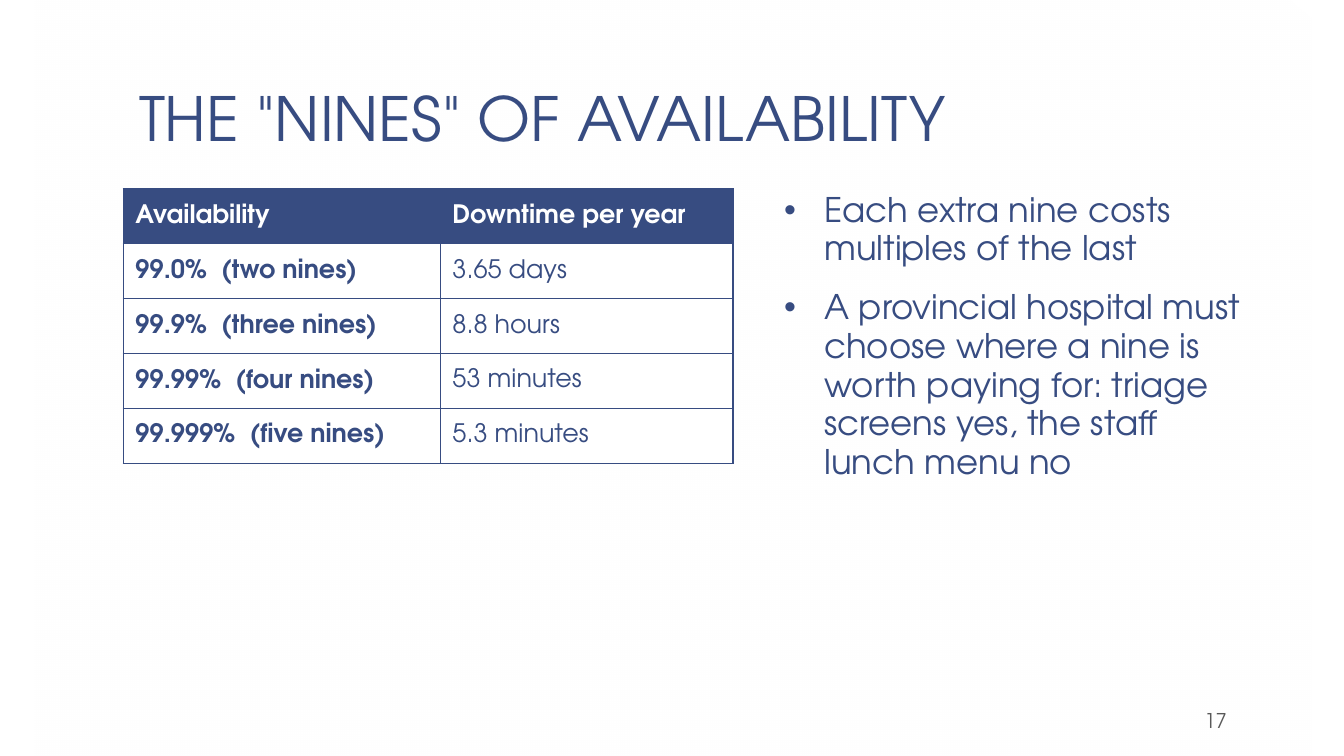
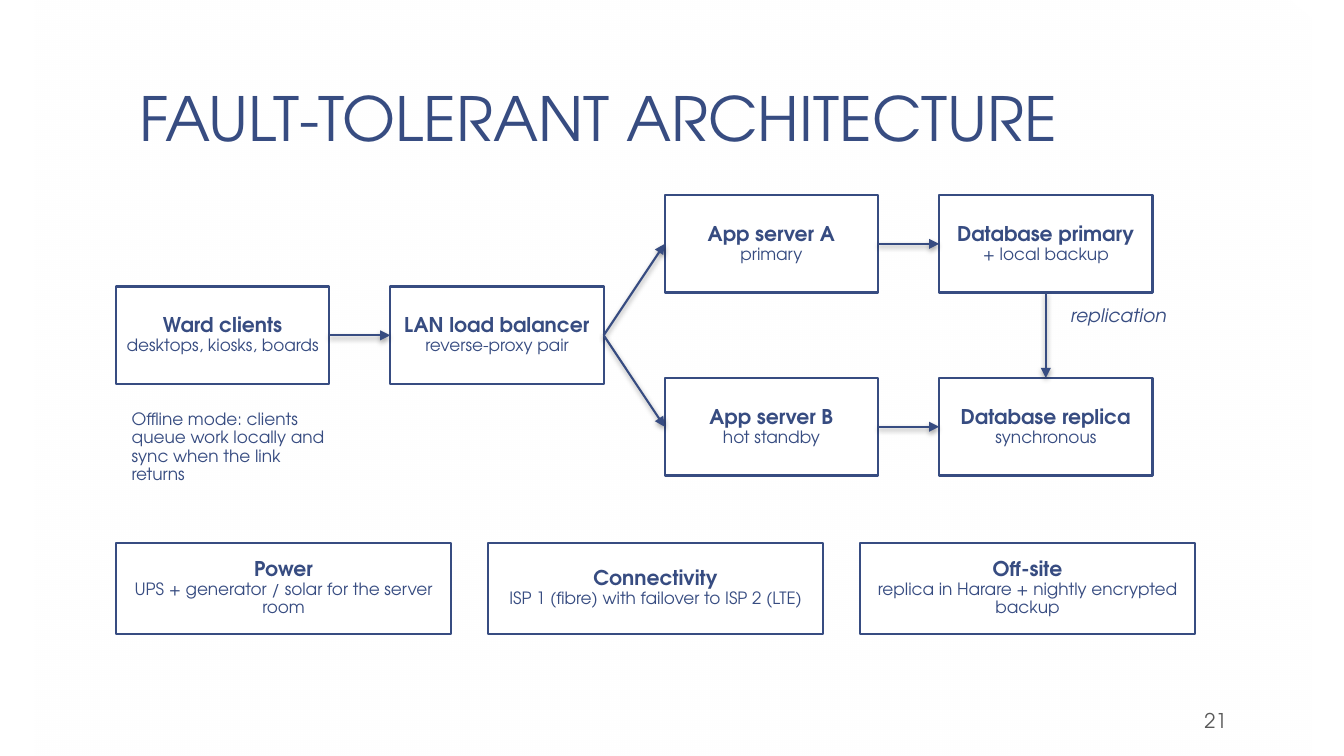
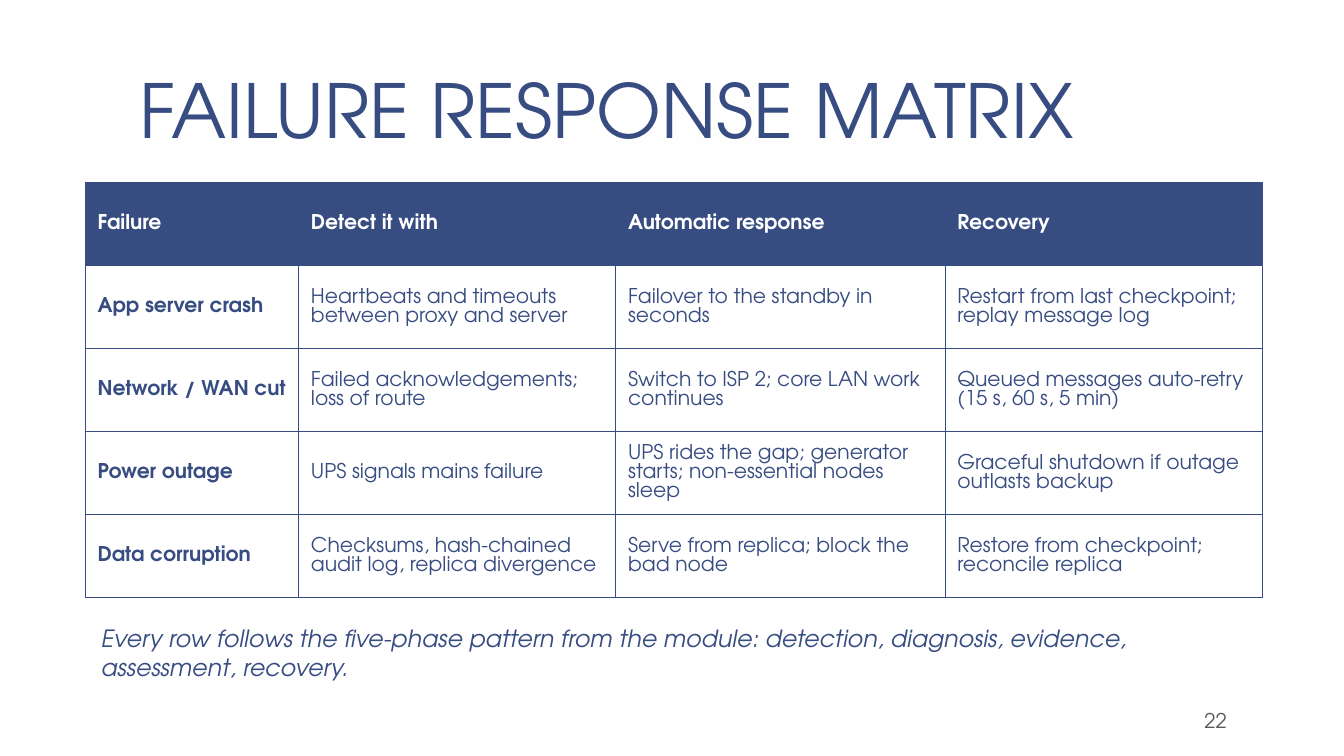
from lxml.etree import SubElement
from pptx import Presentation
from pptx.dml.color import RGBColor
from pptx.enum.shapes import MSO_CONNECTOR as Connector, MSO_SHAPE as Shape
from pptx.enum.text import MSO_ANCHOR as Anchor, MSO_AUTO_SIZE as AutoSize, PP_ALIGN as Align
from pptx.oxml.ns import qn
from pptx.util import Inches, Pt

NAVY = RGBColor(0x37, 0x4C, 0x81)
WHITE = RGBColor(0xFF, 0xFF, 0xFF)
GRAY = RGBColor(0x59, 0x59, 0x59)
FONT = "TeX Gyre Adventor"
TOP, LEFT, BOTTOM, RIGHT = range(4)


class Lecture:
    """Holds the deck, its style and the current page."""

    def __init__(self):
        self.deck = Presentation()
        self.deck.slide_width, self.deck.slide_height = Inches(11.02), Inches(6.2)
        self.page = None

    def style(self, para, size, color=NAVY, bold=False, italic=False, spacing=None, align=Align.LEFT):
        para.alignment = align
        if spacing:
            para.line_spacing = spacing
        for span in para.runs:
            font = span.font
            font.name, font.size, font.bold, font.italic = FONT, Pt(size), bold, italic
            font.color.rgb = color

    def frame(self, box, across=0.13, down=0.07, anchor=Anchor.TOP):
        frame = box.text_frame
        frame.word_wrap, frame.auto_size = True, AutoSize.NONE
        frame.vertical_anchor = anchor
        frame.margin_left = frame.margin_right = Inches(across)
        frame.margin_top = frame.margin_bottom = Inches(down)
        return frame

    def backdrop(self):
        panel = self.page.shapes.add_shape(Shape.RECTANGLE, *map(Inches, (0.28, 0, 10.47, 6.2)))
        panel.shadow.inherit = False
        panel.line.fill.background()
        panel.fill.gradient()
        panel.fill.gradient_angle = 230
        for stop, opacity in zip(panel.fill.gradient_stops, (0, 55)):
            stop.color.rgb = WHITE
            tint = stop._gs.find(qn("a:srgbClr"))
            SubElement(tint, qn("a:alpha")).set("val", str(opacity * 1000))
        self.page.shapes._spTree.insert(2, panel._element)

    def new_page(self, title, number, size=36):
        self.page = self.deck.slides.add_slide(self.deck.slide_layouts[5])
        self.backdrop()
        box = self.page.shapes.title
        box.left, box.top, box.width, box.height = map(Inches, (1.01, 0.07, 9.19, 1.26))
        frame = self.frame(box, anchor=Anchor.BOTTOM)
        frame.text = title
        self.style(frame.paragraphs[0], size, spacing=0.85)
        self.text((9.19, 5.79, 1, 0.29), number, 12, anchor=Anchor.BOTTOM, color=GRAY, align=Align.RIGHT)

    def text(self, place, words, size, anchor=Anchor.TOP, **look):
        box = self.page.shapes.add_textbox(*map(Inches, place))
        frame = self.frame(box, anchor=anchor)
        frame.text = words
        for para in frame.paragraphs:
            self.style(para, size, **look)
        return frame

    def bullets(self, place, items, size):
        frame = self.text(place, "\n".join(items), size, spacing=0.95)
        for index, para in enumerate(frame.paragraphs):
            para.space_before = Pt(12 if index else 0)
            props = para._p.get_or_add_pPr()
            props.set("marL", str(Inches(0.33)))
            props.set("indent", str(-Inches(0.33)))
            tint = SubElement(props, qn("a:buClr"))
            SubElement(tint, qn("a:srgbClr")).set("val", str(NAVY))
            SubElement(props, qn("a:buFont")).set("typeface", "Arial")
            SubElement(props, qn("a:buChar")).set("char", "•")

    def card(self, place, heading, detail):
        box = self.page.shapes.add_shape(Shape.RECTANGLE, *map(Inches, place))
        box.shadow.inherit = False
        box.fill.solid()
        box.fill.fore_color.rgb = WHITE
        box.line.color.rgb, box.line.width = NAVY, Pt(1.25)
        frame = self.frame(box, 0.05, 0.03, Anchor.MIDDLE)
        frame.text = f"{heading}\n{detail}"
        first, second = frame.paragraphs
        self.style(first, 12, bold=True, spacing=0.9, align=Align.CENTER)
        self.style(second, 10, spacing=0.9, align=Align.CENTER)
        return box

    def arrow(self, start, start_side, end, end_side):
        line = self.page.shapes.add_connector(Connector.STRAIGHT, 0, 0, 0, 0)
        line.begin_connect(start, start_side)
        line.end_connect(end, end_side)
        line.line.color.rgb, line.line.width = NAVY, Pt(1.25)
        SubElement(line.line._get_or_add_ln(), qn("a:tailEnd")).set("type", "triangle")

    def border(self, cell):
        props = cell._tc.get_or_add_tcPr()
        for side in ("a:lnL", "a:lnR", "a:lnT", "a:lnB"):
            edge = SubElement(props, qn(side))
            edge.set("w", str(Pt(0.75)))
            paint = SubElement(edge, qn("a:solidFill"))
            SubElement(paint, qn("a:srgbClr")).set("val", str(NAVY))

    def table(self, left, top, widths, row_height, rows, size):
        place = (left, top, sum(widths), row_height * len(rows))
        table = self.page.shapes.add_table(len(rows), len(widths), *map(Inches, place)).table
        table.horz_banding = False
        for column, width in zip(table.columns, widths):
            column.width = Inches(width)
        for r, row in enumerate(rows):
            table.rows[r].height = Inches(row_height)
            for c, words in enumerate(row):
                cell = table.cell(r, c)
                cell.text = words
                cell.vertical_anchor = Anchor.MIDDLE
                cell.margin_left = cell.margin_right = Inches(0.1)
                cell.margin_top = cell.margin_bottom = Inches(0.04)
                self.border(cell)
                cell.fill.solid()
                cell.fill.fore_color.rgb = WHITE if r else NAVY
                self.style(cell.text_frame.paragraphs[0], size, NAVY if r else WHITE,
                           bold=r == 0 or c == 0)


def nines(lecture):
    lecture.new_page('THE "NINES" OF AVAILABILITY', "17")
    lecture.table(1.01, 1.55, (2.6, 2.4), 0.45, [
        ("Availability", "Downtime per year"),
        ("99.0%  (two nines)", "3.65 days"),
        ("99.9%  (three nines)", "8.8 hours"),
        ("99.99%  (four nines)", "53 minutes"),
        ("99.999%  (five nines)", "5.3 minutes"),
    ], 15)
    lecture.bullets((6.3, 1.5, 4.1, 3.6), [
        "Each extra nine costs multiples of the last",
        "A provincial hospital must choose where a nine is worth paying for: "
        "triage screens yes, the staff lunch menu no",
    ], 20)


def architecture(lecture):
    lecture.new_page("FAULT-TOLERANT ARCHITECTURE", "21")
    upper, middle, lower = 1.6, 2.35, 3.1
    nodes = [
        (0, middle, "Ward clients", "desktops, kiosks, boards"),
        (1, middle, "LAN load balancer", "reverse-proxy pair"),
        (2, upper, "App server A", "primary"),
        (2, lower, "App server B", "hot standby"),
        (3, upper, "Database primary", "+ local backup"),
        (3, lower, "Database replica", "synchronous"),
    ]
    clients, balancer, app_a, app_b, primary, replica = [
        lecture.card((0.95 + 2.25 * column, top, 1.75, 0.8), heading, detail)
        for column, top, heading, detail in nodes
    ]
    for start, end in ((clients, balancer), (balancer, app_a), (balancer, app_b),
                       (app_a, primary), (app_b, replica)):
        lecture.arrow(start, RIGHT, end, LEFT)
    lecture.arrow(primary, BOTTOM, replica, TOP)
    lecture.text((8.65, 2.42, 1.6, 0.35), "replication", 11, italic=True)
    lecture.text((0.95, 3.3, 1.9, 0.9),
                 "Offline mode: clients queue work locally and sync when the link returns", 10, spacing=0.9)
    supports = [
        ("Power", "UPS + generator / solar for the server room"),
        ("Connectivity", "ISP 1 (fibre) with failover to ISP 2 (LTE)"),
        ("Off-site", "replica in Harare + nightly encrypted backup"),
    ]
    for index, support in enumerate(supports):
        lecture.card((0.95 + 3.05 * index, 4.45, 2.75, 0.75), *support)


def responses(lecture):
    lecture.new_page("FAILURE RESPONSE MATRIX", "22", 44)
    lecture.table(0.7, 1.5, (1.75, 2.6, 2.7, 2.6), 0.68, [
        ("Failure", "Detect it with", "Automatic response", "Recovery"),
        ("App server crash", "Heartbeats and timeouts between proxy and server",
         "Failover to the standby in seconds", "Restart from last checkpoint; replay message log"),
        ("Network / WAN cut", "Failed acknowledgements; loss of route",
         "Switch to ISP 2; core LAN work continues", "Queued messages auto-retry (15 s, 60 s, 5 min)"),
        ("Power outage", "UPS signals mains failure",
         "UPS rides the gap; generator starts; non-essential nodes sleep",
         "Graceful shutdown if outage outlasts backup"),
        ("Data corruption", "Checksums, hash-chained audit log, replica divergence",
         "Serve from replica; block the bad node", "Restore from checkpoint; reconcile replica"),
    ], 12)
    lecture.text((0.7, 5.05, 9.65, 0.5),
                 "Every row follows the five-phase pattern from the module: "
                 "detection, diagnosis, evidence, assessment, recovery.", 14, italic=True)


def main():
    lecture = Lecture()
    for build in (nines, architecture, responses):
        build(lecture)
    lecture.deck.save("out.pptx")


if __name__ == "__main__":
    main()
